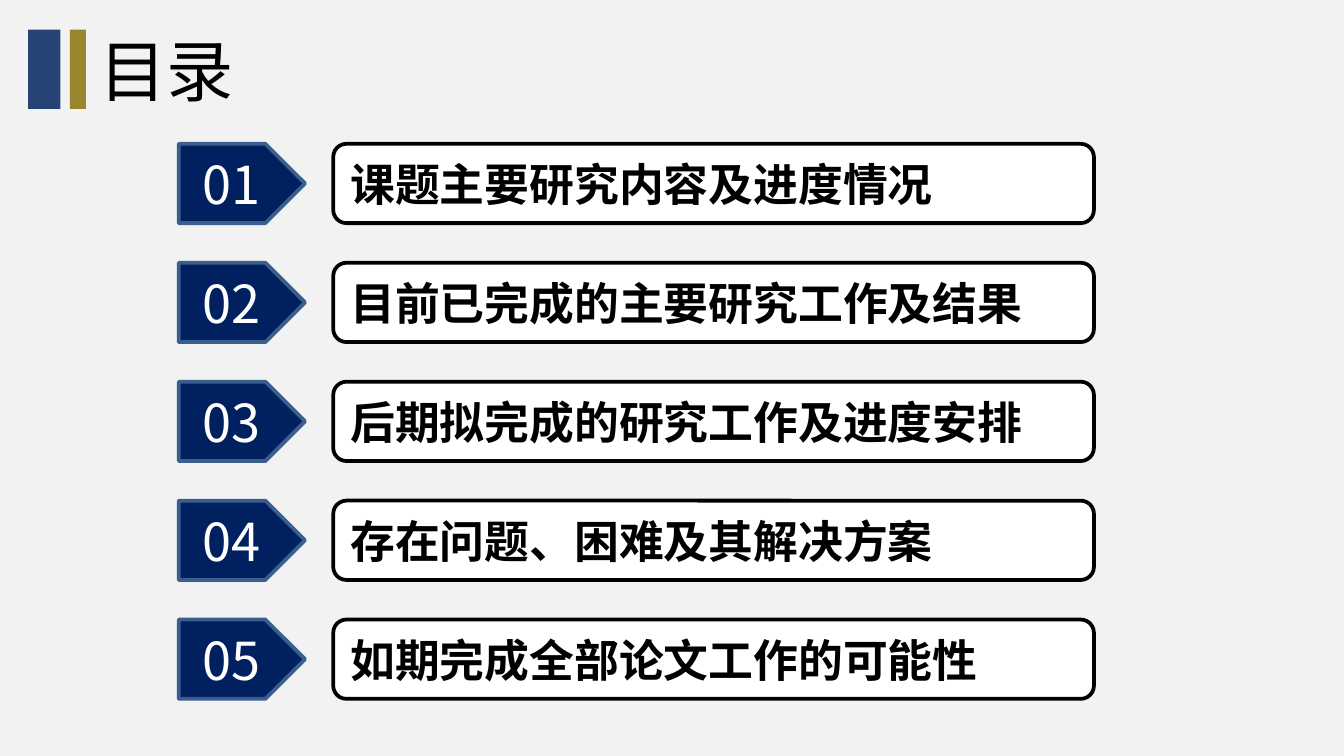
from pptx import Presentation
from pptx.dml.color import RGBColor
from pptx.enum.shapes import MSO_SHAPE as Shape
from pptx.enum.text import MSO_ANCHOR as Anchor, PP_ALIGN as Align
from pptx.oxml.ns import qn
from pptx.util import Inches, Pt
from lxml.etree import SubElement

TITLE = "目录"
TOPICS = [
    "课题主要研究内容及进度情况",
    "目前已完成的主要研究工作及结果",
    "后期拟完成的研究工作及进度安排",
    "存在问题、困难及其解决方案",
    "如期完成全部论文工作的可能性",
]
BARS = [(0.21, 0.24, "254375"), (0.52, 0.12, "998530")]
LATIN, CHINESE = "Calibri", "Noto Sans CJK SC"
SLIDE_WIDTH = 10
HEADER_TOP, HEIGHT = 0.22, 0.59
FIRST_TOP, LAST_TOP = 1.07, 4.61


def color(value):
    return RGBColor.from_string(value)


def write(box, text, size, font=LATIN, ink="000000", bold=False, align=Align.LEFT):
    frame = box.text_frame
    frame.word_wrap = True
    frame.vertical_anchor = Anchor.MIDDLE
    para = frame.paragraphs[0]
    para.alignment = align
    span = para.add_run()
    span.text = text
    span.font.size = Pt(size)
    span.font.name = font
    span.font.bold = bold
    span.font.color.rgb = color(ink)
    SubElement(span.font._element, qn("a:ea"), typeface=CHINESE)


def add_box(kind, left, top, width, fill, line=None):
    box = page.shapes.add_shape(
        kind, Inches(left), Inches(top), Inches(width), Inches(HEIGHT))
    box.shadow.inherit = False
    box.fill.solid()
    box.fill.fore_color.rgb = color(fill)
    if line:
        box.line.color.rgb = color(line)
        box.line.width = Pt(2)
    else:
        box.line.fill.background()
    return box


deck = Presentation()
deck.slide_width = Inches(SLIDE_WIDTH)
deck.slide_height = Inches(SLIDE_WIDTH * 9 / 16)
page = deck.slides.add_slide(deck.slide_layouts[5])
page.background.fill.solid()
page.background.fill.fore_color.rgb = color("F2F2F2")

for left, width, fill in BARS:
    add_box(Shape.RECTANGLE, left, HEADER_TOP, width, fill)

title = page.shapes.title
title.left, title.top = Inches(0.64), Inches(HEADER_TOP)
title.width, title.height = Inches(3.89), Inches(HEIGHT)
write(title, TITLE, 36)

pitch = (LAST_TOP - FIRST_TOP) / (len(TOPICS) - 1)
for index, topic in enumerate(TOPICS):
    top = FIRST_TOP + index * pitch
    number = add_box(Shape.PENTAGON, 1.33, top, 0.94, "002060", "3A5F8C")
    write(number, f"{index + 1:02d}", 28, font=CHINESE, ink="FFFFFF", align=Align.CENTER)
    panel = add_box(Shape.ROUNDED_RECTANGLE, 2.48, top, 5.66, "FFFFFF", "000000")
    write(panel, topic, 24, bold=True)

deck.save("out.pptx")
